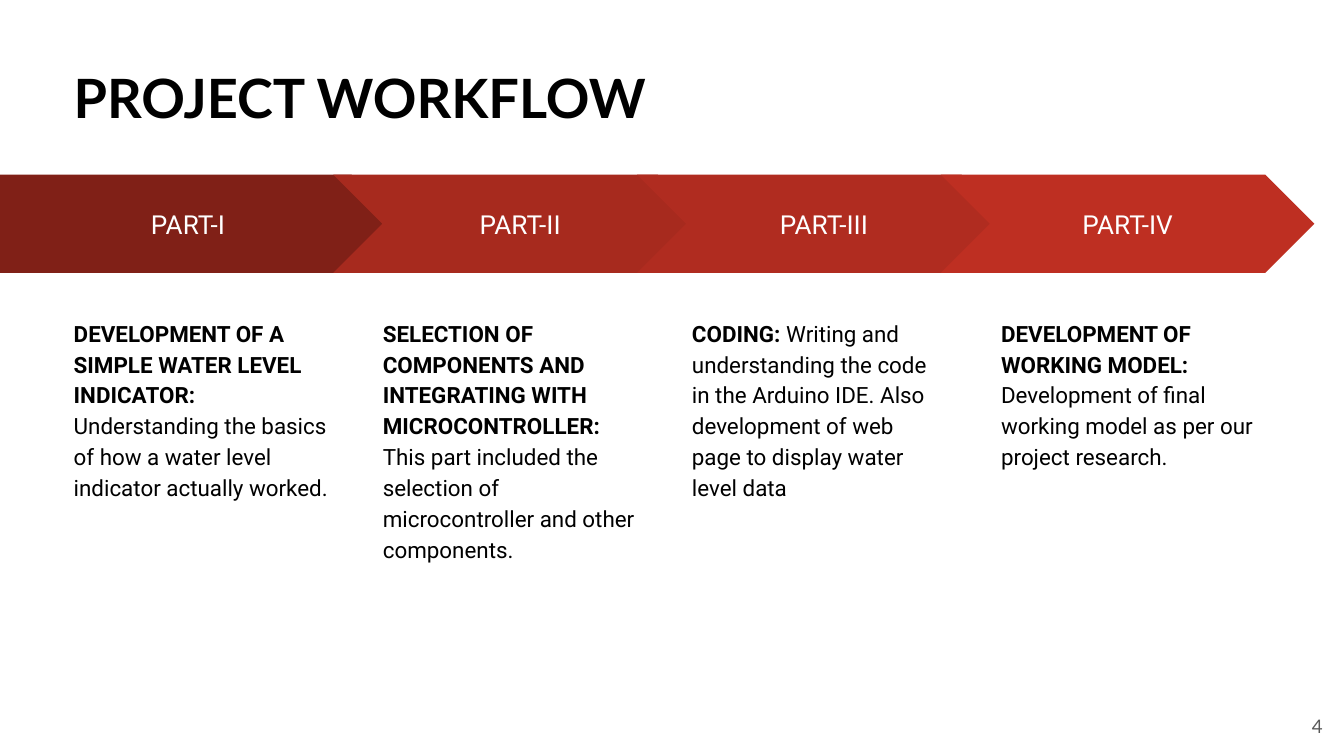
from pptx import Presentation
from pptx.dml.color import RGBColor
from pptx.enum.shapes import MSO_SHAPE
from pptx.enum.text import MSO_ANCHOR, PP_ALIGN
from pptx.util import Inches, Pt

PENTAGON, CHEVRON = MSO_SHAPE.PENTAGON, MSO_SHAPE.CHEVRON
TOP, MIDDLE = MSO_ANCHOR.TOP, MSO_ANCHOR.MIDDLE
LEFT, CENTER, RIGHT = PP_ALIGN.LEFT, PP_ALIGN.CENTER, PP_ALIGN.RIGHT

WIDTH = 10
HEIGHT = WIDTH * 9 / 16
COLORS = {
    "text": "000000",
    "label": "FFFFFF",
    "number": "595959",
    "part1": "802017",
    "part2": "A72A1E",
    "part3": "B02C20",
    "part4": "BE2F22",
}
FORMATS = {
    "title": {"name": "Lato", "size": Pt(29), "bold": True},
    "label": {"name": "Roboto", "size": Pt(14), "bold": False},
    "heading": {"name": "Roboto", "size": Pt(12), "bold": True},
    "detail": {"name": "Roboto", "size": Pt(12), "bold": False},
    "number": {"name": "Lato", "size": Pt(10), "bold": False},
}
PARTS = [
    ("PART-I", "part1", "DEVELOPMENT OF A SIMPLE WATER LEVEL INDICATOR: ",
     "Understanding the basics of how a water level indicator actually worked."),
    ("PART-II", "part2", "SELECTION OF COMPONENTS AND INTEGRATING WITH MICROCONTROLLER: ",
     "This part included the selection of microcontroller and other components."),
    ("PART-III", "part3", "CODING: ",
     "Writing and understanding the code in the Arduino IDE. "
     "Also development of web page to display water level data"),
    ("PART-IV", "part4", "DEVELOPMENT OF WORKING MODEL: ",
     "Development of final working model as per our project research."),
]
ARROW_TOP, ARROW_HEIGHT = 1.3, 0.73
ARROW_START, ARROW_STEP, ARROW_WIDTH = 2.48, 2.26, 2.78
FIRST_ARROW_WIDTH = 2.98
TEXT_START, TEXT_STEP = 0.45, 2.3
TEXT_TOP, TEXT_WIDTH, TEXT_HEIGHT = 2.25, 2.09, 2.86


def rgb(color):
    return RGBColor.from_string(COLORS[color])


def write(holder, runs, align=LEFT, anchor=TOP, spacing=1.0):
    frame = holder.text_frame
    inset = Inches(0.1)
    layout = {"word_wrap": True, "vertical_anchor": anchor, "margin_left": inset,
              "margin_right": inset, "margin_top": inset, "margin_bottom": inset}
    for key, value in layout.items():
        setattr(frame, key, value)
    paragraph = frame.paragraphs[0]
    paragraph.alignment, paragraph.line_spacing = align, spacing
    for words, style, color in runs:
        run = paragraph.add_run()
        run.text = words
        for key, value in FORMATS[style].items():
            setattr(run.font, key, value)
        run.font.color.rgb = rgb(color)


def add_text(shapes, box, runs, **layout):
    holder = shapes.add_textbox(*map(Inches, box))
    write(holder, runs, **layout)


def add_arrow(shapes, box, preset, label, color):
    arrow = shapes.add_shape(preset, *map(Inches, box))
    arrow.adjustments[0] = 0.5
    arrow.shadow.inherit = False
    arrow.fill.solid()
    arrow.fill.fore_color.rgb = rgb(color)
    arrow.line.fill.background()
    write(arrow, [(label, "label", "label")], align=CENTER, anchor=MIDDLE)


def add_part(slide, arrow_box, text_box, preset, part):
    label, color, heading, detail = part
    shapes = slide.shapes.add_group_shape().shapes
    add_arrow(shapes, arrow_box, preset, label, color)
    add_text(shapes, text_box,
             [(heading, "heading", "text"), (detail, "detail", "text")], spacing=1.15)


def add_workflow(slide):
    for column, part in enumerate(PARTS):
        first = column == 0
        arrow_left = 0 if first else ARROW_START + (column - 1) * ARROW_STEP
        arrow_width = FIRST_ARROW_WIDTH if first else ARROW_WIDTH
        add_part(slide,
                 (arrow_left, ARROW_TOP, arrow_width, ARROW_HEIGHT),
                 (TEXT_START + column * TEXT_STEP, TEXT_TOP, TEXT_WIDTH, TEXT_HEIGHT),
                 PENTAGON if first else CHEVRON, part)


def main():
    deck = Presentation()
    deck.slide_width, deck.slide_height = Inches(WIDTH), Inches(HEIGHT)
    slide = deck.slides.add_slide(deck.slide_layouts[6])
    add_workflow(slide)
    add_text(slide.shapes, (TEXT_START, 0.38, 7.83, 0.69),
             [("PROJECT WORKFLOW", "title", "text")])
    add_text(slide.shapes, (9.34, 5.19, 0.6, 0.43),
             [("4", "number", "number")], align=RIGHT, anchor=MIDDLE)
    deck.save("out.pptx")


if __name__ == "__main__":
    main()
